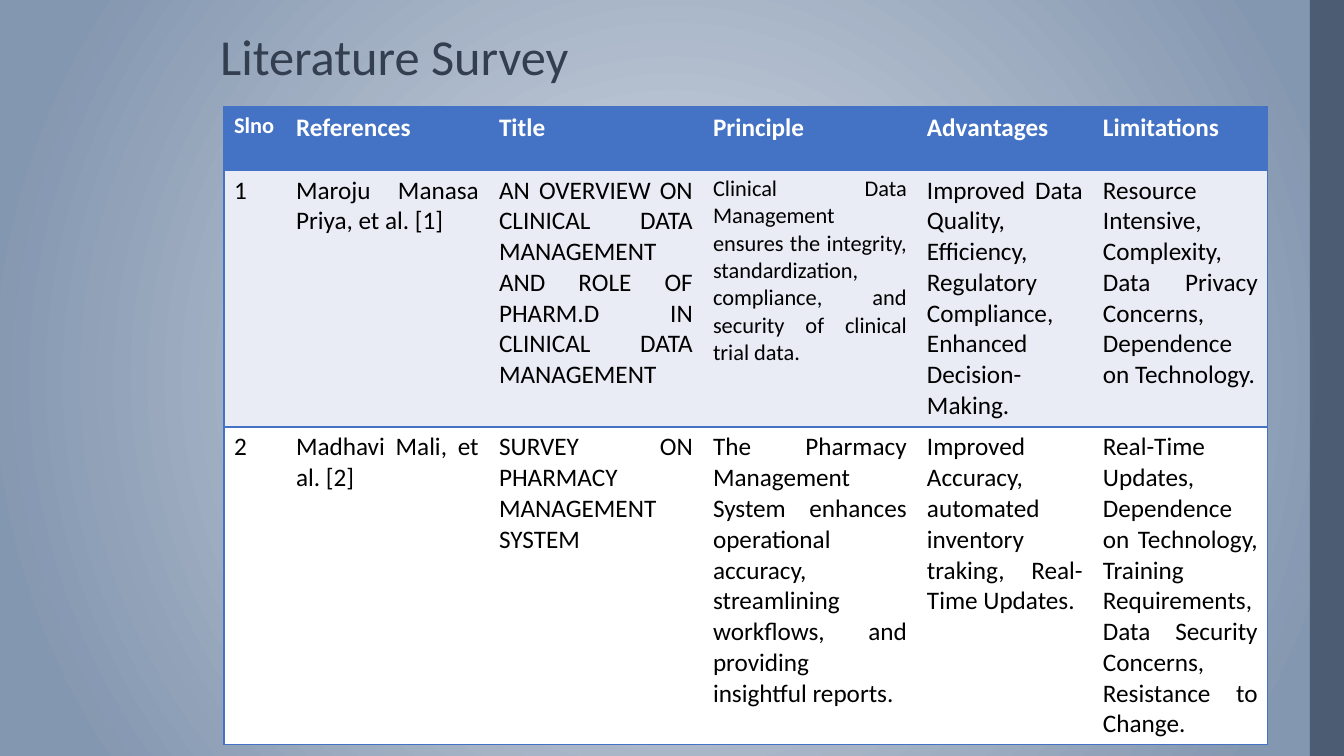
import pptx
import pptx.dml.color
import pptx.enum.shapes
import pptx.enum.text
import pptx.oxml
import pptx.oxml.ns
import pptx.util
from dataclasses import dataclass

TITLE = "Literature Survey"
HEADERS = ["Slno", "References", "Title", "Principle", "Advantages", "Limitations"]
STUDIES = [
    [
        "1",
        "Maroju Manasa Priya, et al. [1]",
        "AN OVERVIEW ON CLINICAL DATA MANAGEMENT AND ROLE OF PHARM.D IN CLINICAL DATA MANAGEMENT",
        "Clinical Data Management ensures the integrity, standardization, compliance, "
        "and security of clinical trial data.",
        "Improved Data Quality, Efficiency, Regulatory Compliance, Enhanced Decision-Making.",
        "Resource Intensive, Complexity, Data Privacy Concerns, Dependence on Technology.",
    ],
    [
        "2",
        "Madhavi Mali, et al. [2]",
        "SURVEY ON PHARMACY MANAGEMENT SYSTEM",
        "The Pharmacy Management System enhances operational accuracy, "
        "streamlining workflows, and providing insightful reports.",
        "Improved Accuracy, automated inventory traking, Real-Time Updates.",
        "Real-Time Updates, Dependence on Technology, Training Requirements, "
        "Data Security Concerns, Resistance to Change.",
    ],
]
SMALL_CELLS = {(0, 0), (1, 3)}  # (row, column)

# Lengths in px
SLIDE = (1344, 756)
SIDE_BAR = (1310, 0, 34, 756)
TITLE_BOX = (210, 19, 1044, 73)
TABLE_CORNER = (224, 107)
COLUMN_WIDTHS = [62, 203, 214, 214, 176, 175]
ROW_HEIGHTS = [63, 257, 317]


@dataclass(frozen=True)
class Theme:
    font: str = "Calibri"
    title_size: int = 36
    text_size: int = 18
    small_size: int = 16
    title: str = "333F50"
    header_text: str = "FFFFFF"
    text: str = "000000"
    accent: str = "4472C4"
    row_fills: tuple = ("4472C4", "E9EBF5", "FFFFFF")
    bar: str = "44546A"
    glow: str = "D6DCE5"
    edge: str = "8497B0"


THEME = Theme()


def px(length):
    return pptx.util.Emu(round(length * 914400 / 100.8))


def rgb(code):
    return pptx.dml.color.RGBColor.from_string(code)


def xml(text):
    """Parse an element whose tag opens with a prefix, declaring its namespaces."""
    tag = text.split(">")[0].split()[0].rstrip("/")
    return pptx.oxml.parse_xml(
        text.replace(tag, f"{tag} {pptx.oxml.ns.nsdecls('a', 'p')}", 1))


def write(para, text, size, color, bold=False):
    span = para.add_run()
    span.text = text
    span.font.name = THEME.font
    span.font.size = pptx.util.Pt(size)
    span.font.bold = bold
    span.font.color.rgb = rgb(color)


def paint_background(page):
    page._element.cSld.insert(0, xml(
        '<p:bg><p:bgPr><a:gradFill rotWithShape="1"><a:gsLst>'
        f'<a:gs pos="0"><a:srgbClr val="{THEME.glow}"/></a:gs>'
        f'<a:gs pos="90000"><a:srgbClr val="{THEME.edge}"/></a:gs></a:gsLst>'
        '<a:path path="circle"><a:fillToRect l="50000" t="50000" r="50000" b="50000"/></a:path>'
        '</a:gradFill><a:effectLst/></p:bgPr></p:bg>'))


def add_side_bar(page):
    bar = page.shapes.add_shape(
        pptx.enum.shapes.MSO_SHAPE.RECTANGLE, *map(px, SIDE_BAR))
    bar.shadow.inherit = False
    bar.fill.solid()
    bar.fill.fore_color.rgb = rgb(THEME.bar)
    bar.line.fill.background()
    color = bar._element.spPr.find(".//" + pptx.oxml.ns.qn("a:srgbClr"))
    color.append(xml('<a:alpha val="87000"/>'))


def add_title(page):
    box = page.shapes.title
    box.left, box.top, box.width, box.height = map(px, TITLE_BOX)
    frame = box.text_frame
    frame.word_wrap = True
    frame.auto_size = pptx.enum.text.MSO_AUTO_SIZE.NONE
    frame.vertical_anchor = pptx.enum.text.MSO_ANCHOR.BOTTOM
    para = frame.paragraphs[0]
    para.alignment = pptx.enum.text.PP_ALIGN.LEFT
    para.line_spacing = 0.9
    write(para, TITLE, THEME.title_size, THEME.title)


def set_borders(cell, column):
    """Rule every row above and below, and only the outer sides of the table."""
    ruled = {"L": column == 0, "R": column == len(HEADERS) - 1, "T": True, "B": True}
    for side, shown in ruled.items():
        paint = (f'<a:solidFill><a:srgbClr val="{THEME.accent}"/></a:solidFill>'
                 if shown else "<a:noFill/>")
        cell._tc.get_or_add_tcPr().append(
            xml(f'<a:ln{side} w="12700">{paint}</a:ln{side}>'))


def add_survey_table(page):
    rows = [HEADERS, *STUDIES]
    table = page.shapes.add_table(
        len(rows), len(HEADERS), *map(px, TABLE_CORNER),
        px(sum(COLUMN_WIDTHS)), px(sum(ROW_HEIGHTS))).table
    table.horz_banding = False
    for column, width in zip(table.columns, COLUMN_WIDTHS):
        column.width = px(width)
    for row, height in zip(table.rows, ROW_HEIGHTS):
        row.height = px(height)

    for r, texts in enumerate(rows):
        is_header = r == 0
        for c, text in enumerate(texts):
            cell = table.cell(r, c)
            set_borders(cell, c)
            cell.fill.solid()
            cell.fill.fore_color.rgb = rgb(THEME.row_fills[r])
            para = cell.text_frame.paragraphs[0]
            para.alignment = pptx.enum.text.PP_ALIGN.JUSTIFY
            size = THEME.small_size if (r, c) in SMALL_CELLS else THEME.text_size
            color = THEME.header_text if is_header else THEME.text
            write(para, text, size, color, is_header)


def main():
    deck = pptx.Presentation()
    deck.slide_width, deck.slide_height = map(px, SLIDE)
    page = deck.slides.add_slide(deck.slide_layouts.get_by_name("Title Only"))
    paint_background(page)
    add_side_bar(page)
    add_title(page)
    add_survey_table(page)
    deck.save("out.pptx")


if __name__ == "__main__":
    main()
